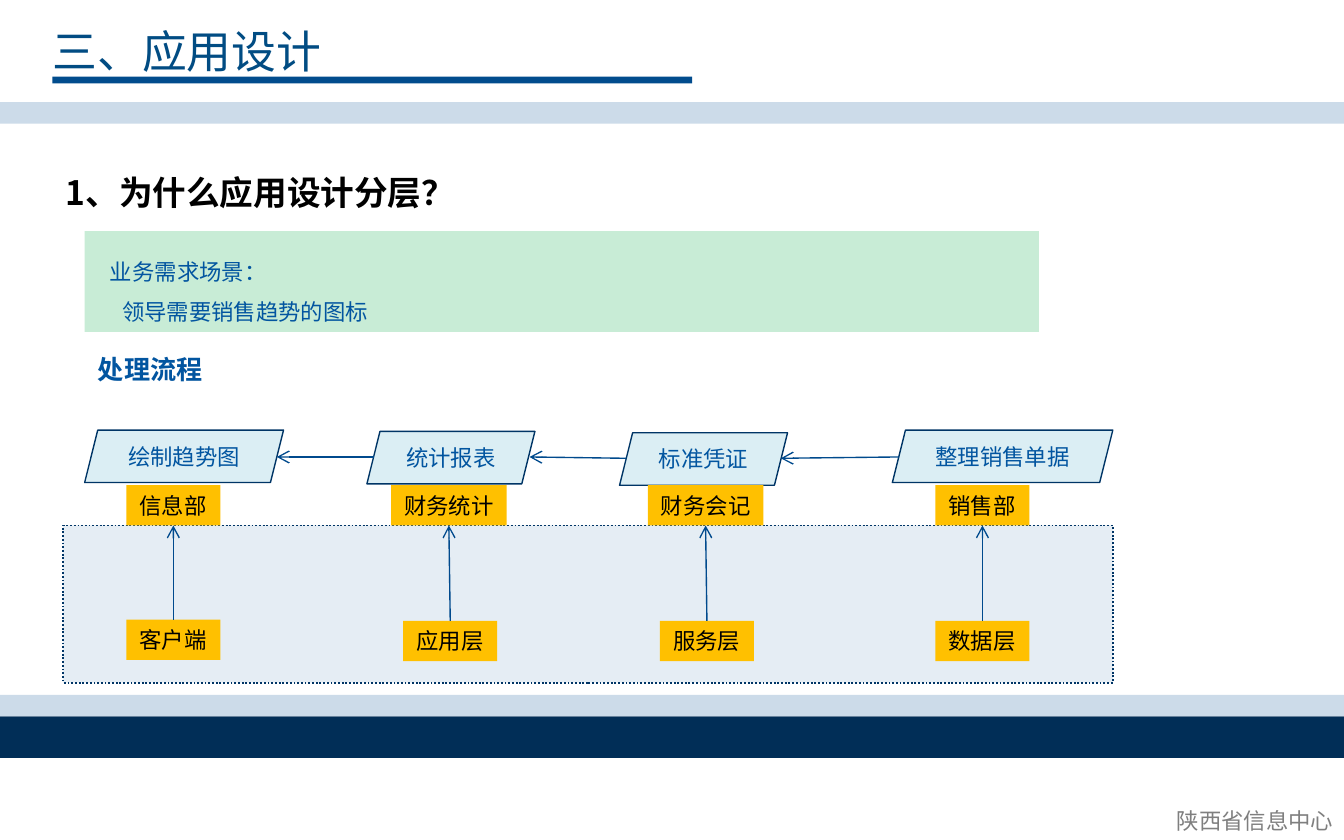
from pptx import Presentation
from pptx.dml.color import RGBColor
from pptx.enum.dml import MSO_LINE
from pptx.enum.shapes import MSO_CONNECTOR, MSO_SHAPE
from pptx.enum.text import MSO_ANCHOR, PP_ALIGN
from pptx.oxml.ns import qn
from pptx.util import Inches, Pt
from lxml import etree

COLORS = {
    "navy": "012E57", "rule": "014C8D", "title": "014C83", "band": "CCDBE9",
    "mint": "C8ECD6", "text": "0255A0", "step": "DBEEF4", "outline": "003566",
    "label": "FFC000", "panel": "E5EDF4", "arrow": "004A8D", "gray": "7F7F7F",
    "black": "000000",
}
COLORS = {name: RGBColor.from_string(value) for name, value in COLORS.items()}
CJK = "Noto Sans CJK SC"

prs = Presentation()
prs.slide_width, prs.slide_height = Inches(10), Inches(6.25)
s = prs.slides.add_slide(prs.slide_layouts[5])


def add_box(box, fill=None, kind=MSO_SHAPE.RECTANGLE, outline=None):
    """Add a text box, or a shape without shadow when a fill is given."""
    place = [Inches(v) for v in box]
    if fill is None:
        return s.shapes.add_textbox(*place)
    sp = s.shapes.add_shape(kind, *place)
    sp.shadow.inherit = False
    sp.fill.solid()
    sp.fill.fore_color.rgb = COLORS[fill]
    if outline:
        sp.line.color.rgb = COLORS["outline"]
        sp.line.width = Pt(outline)
    else:
        sp.line.fill.background()
    return sp


def write(sp, lines, size, color, font="Calibri", bold=False, wrap=True,
          align=PP_ALIGN.LEFT, anchor=MSO_ANCHOR.TOP, spacing=None):
    tf = sp.text_frame
    tf.word_wrap = wrap
    tf.vertical_anchor = anchor
    tf.text = lines
    for p in tf.paragraphs:
        p.alignment = align
        p.line_spacing = spacing
        p.font.size = Pt(size)
        p.font.name = font
        p.font.bold = bold
        p.font.color.rgb = COLORS[color]


# Page frame
add_box((0, 5.33, 10, 0.31), "navy")
add_box((0.39, 0.57, 4.76, 0.05), "rule")
for top in (5.17, 0.76):
    add_box((0, top, 10, 0.16), "band")

title = s.shapes.title
title.left, title.top = Inches(0.29), Inches(0.13)
title.width, title.height = Inches(2.6), Inches(0.5)
write(title, "三、应用设计", 24, "title", CJK)
write(add_box((8.02, 5.96, 2, 0.3)), "陕西省信息中心", 12, "gray", CJK,
      align=PP_ALIGN.RIGHT)

# Question and scenario
write(add_box((0.39, 1.08, 5.55, 0.55)), "1、为什么应用设计分层？", 18, "black",
      CJK, bold=True, spacing=1.5)
scenario = add_box((0.63, 1.72, 7.1, 0.75), "mint")
write(scenario, "业务需求场景：\n领导需要销售趋势的图标", 12, "text", spacing=1.5)
scenario.text_frame.margin_top = Inches(0.1)
for p, indent in zip(scenario.text_frame.paragraphs, (0.09, 0.18)):
    p._p.get_or_add_pPr().set("marL", str(Inches(indent)))
write(add_box((0.63, 2.58, 1.25, 0.34)), "处理流程", 14, "text", bold=True)

# Process steps, departments and layers, one column each
add_box((0.47, 3.91, 7.81, 1.17), "panel", outline=1).line.dash_style = MSO_LINE.ROUND_DOT
columns = [  # step, left, top, width; department, left, width; layer, left, top
    ("绘制趋势图", 0.63, 3.2, 1.48, "信息部", 0.94, 0.7, "客户端", 0.94, 4.61),
    ("统计报表", 2.73, 3.21, 1.25, "财务统计", 2.91, 0.86, "应用层", 3, 4.62),
    ("标准凭证", 4.61, 3.22, 1.25, "财务会记", 4.82, 0.86, "服务层", 4.91, 4.62),
    ("整理销售单据", 6.64, 3.2, 1.64, "销售部", 6.96, 0.7, "数据层", 6.96, 4.62),
]
arrows = [(6.69, 3.4, 5.81, 3.41), (4.66, 3.41, 3.94, 3.4), (2.78, 3.4, 2.06, 3.4)]
for step, x, y, w, dept, dept_x, dept_w, layer, layer_x, layer_y in columns:
    sp = add_box((x, y, w, 0.39), "step", MSO_SHAPE.PARALLELOGRAM, outline=0.75)
    sp.adjustments[0] = 0.25
    write(sp, step, 12, "text", align=PP_ALIGN.CENTER, anchor=MSO_ANCHOR.MIDDLE)
    for label, left, top, width in ((dept, dept_x, 3.61, dept_w),
                                    (layer, layer_x, layer_y, 0.7)):
        write(add_box((left, top, width, 0.3), "label"), label, 12, "black", wrap=False)
    arrows.append((layer_x + 0.35, layer_y, dept_x + dept_w / 2, 3.91))

for ends in arrows:
    line = s.shapes.add_connector(MSO_CONNECTOR.STRAIGHT, *[Inches(v) for v in ends])
    line.line.color.rgb = COLORS["arrow"]
    line.line.width = Pt(0.75)
    etree.SubElement(line.line._get_or_add_ln(), qn("a:tailEnd"), type="arrow")
    etree.SubElement(line._element.spPr, qn("a:effectLst"))

prs.save("out.pptx")
